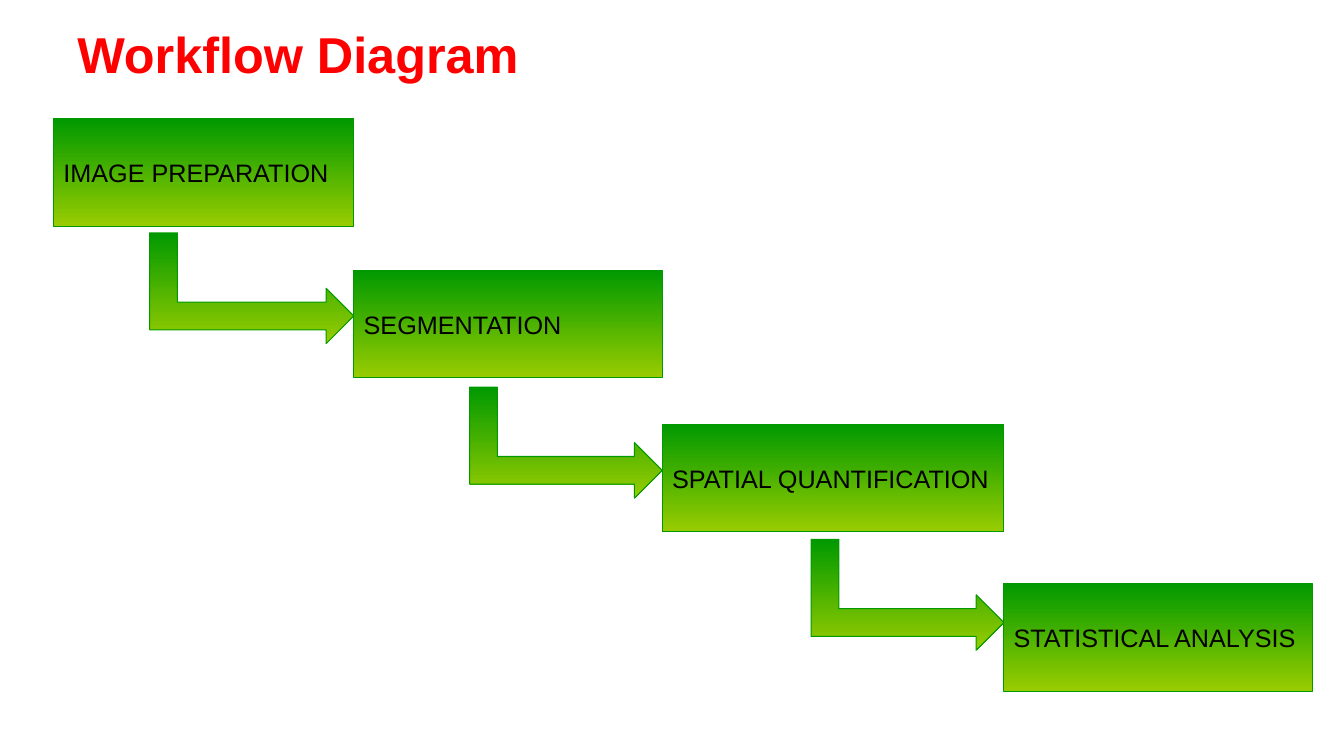
from pptx import Presentation
from pptx.dml.color import RGBColor
from pptx.enum.shapes import MSO_SHAPE
from pptx.enum.text import MSO_ANCHOR, PP_ALIGN
from pptx.oxml.ns import qn
from pptx.util import Pt

COLORS = {"title": "FF0000", "label": "000000", "top": "009900", "bottom": "99CC00"}
TITLE_FONT = {"name": "Arial", "size": Pt(36), "bold": True}
LABEL_FONT = {"name": "Arial", "size": Pt(18), "bold": False}

STEP_HEIGHT = 77
ARROW_HEIGHT = 79.2
# Label, left, top, width
STEPS = [
    ("IMAGE PREPARATION", 38.2, 85, 214),
    ("SEGMENTATION", 252.7, 193, 220.3),
    ("SPATIAL QUANTIFICATION", 473, 303, 244),
    ("STATISTICAL ANALYSIS", 717, 416.8, 220.3),
]
# Top and width of the arrow leading into each following step
ARROWS = [(166.3, 145.8), (276.6, 137.6), (385.3, 137.6)]


def color(key):
    return RGBColor.from_string(COLORS[key])


def write(frame, text, font_format, color_key):
    frame.vertical_anchor = MSO_ANCHOR.MIDDLE
    paragraph = frame.paragraphs[0]
    paragraph.alignment = PP_ALIGN.LEFT
    run = paragraph.add_run()
    run.text = text
    for attribute, value in font_format.items():
        setattr(run.font, attribute, value)
    run.font.color.rgb = color(color_key)


def paint(shape):
    """Green gradient running down the slide, whatever the rotation."""
    shape.shadow.inherit = False
    shape.fill.gradient()
    shape.fill.gradient_angle = 270
    for stop, key in zip(shape.fill.gradient_stops, ("top", "bottom")):
        stop.color.rgb = color(key)
    shape._element.spPr.find(qn("a:gradFill")).set("rotWithShape", "0")
    shape.line.color.rgb = color("top")
    shape.line.width = Pt(0.75)


def add_title(slide, left, top, width, height):
    heading = slide.shapes.add_textbox(Pt(left), Pt(top), Pt(width), Pt(height))
    heading.text_frame.word_wrap = True
    write(heading.text_frame, "Workflow Diagram", TITLE_FONT, "title")


def add_step(slide, label, left, top, width, height):
    step = slide.shapes.add_shape(
        MSO_SHAPE.RECTANGLE, Pt(left), Pt(top), Pt(width), Pt(height))
    paint(step)
    step.text_frame.word_wrap = False
    write(step.text_frame, label, LABEL_FONT, "label")


def add_arrow(slide, left, top, width, height):
    """Bent arrow filling the given box after a quarter turn."""
    inset = (width - height) / 2
    arrow = slide.shapes.add_shape(
        MSO_SHAPE.BENT_UP_ARROW,
        Pt(left + inset), Pt(top - inset), Pt(height), Pt(width))
    arrow.rotation = 90
    paint(arrow)


def add_workflow(slide):
    # Steps
    for label, left, top, width in STEPS:
        add_step(slide, label, left, top, width, STEP_HEIGHT)
    # Arrows end at the left edge of the next step
    for (top, width), (_, next_left, _, _) in zip(ARROWS, STEPS[1:]):
        add_arrow(slide, next_left - width, top, width, ARROW_HEIGHT)


def main():
    deck = Presentation()
    deck.slide_width, deck.slide_height = Pt(960), Pt(540)
    slide = deck.slides.add_slide(deck.slide_layouts[6])
    add_title(slide, 48.2, 15.1, 864, 46)
    add_workflow(slide)
    deck.save("out.pptx")


if __name__ == "__main__":
    main()
